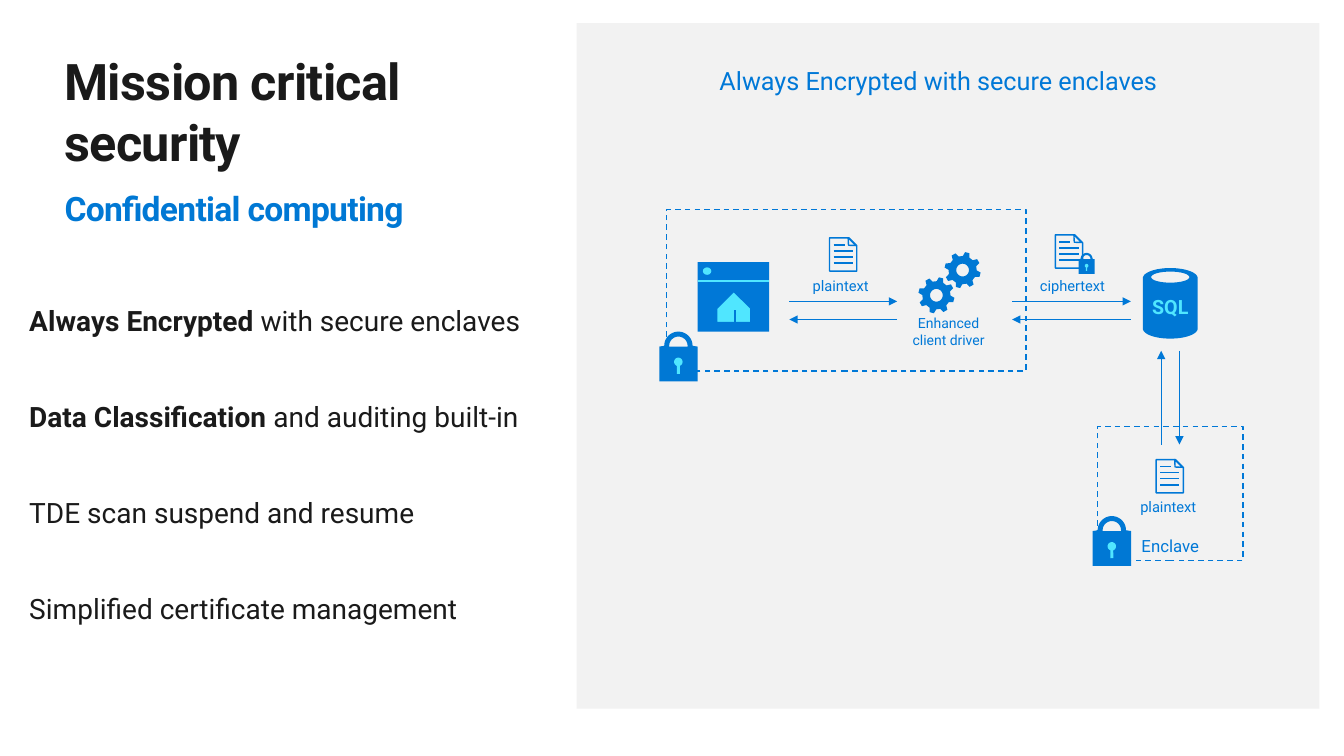
"""Build a slide on mission critical security with an encrypted data flow."""
import dataclasses
import math

import pptx
import pptx.dml.color
import pptx.enum.dml
import pptx.enum.shapes
import pptx.enum.text
import pptx.oxml.ns
import pptx.util
from lxml import etree

CELL = pptx.util.Inches(0.1)
COLS, ROWS = 133.33, 75
KIND = pptx.enum.shapes.MSO_SHAPE
ALIGN = pptx.enum.text.PP_ALIGN
ANCHOR = pptx.enum.text.MSO_ANCHOR
qn = pptx.oxml.ns.qn


@dataclasses.dataclass(frozen=True)
class Theme:
    font: str = "Roboto"
    ink: str = "1A1A1A"
    blue: str = "0078D7"
    deep: str = "0078D4"
    cyan: str = "50E6FF"
    panel: str = "F2F2F2"
    title: float = 36
    sub: float = 24
    list: float = 20
    head: float = 18
    logo: float = 14
    zone: float = 12
    label: float = 10.5
    note: float = 10


LOOK = Theme()


def grid(*cells):
    return [round(cell * CELL) for cell in cells]


def tint(code):
    return pptx.dml.color.RGBColor.from_string(code)


def style(part, size, color, bold=False):
    for run in part.runs:
        run.font.name, run.font.size = LOOK.font, pptx.util.Pt(size)
        run.font.bold, run.font.color.rgb = bold, tint(color)


def frame(shape, anchor, inset=0):
    text = shape.text_frame
    text.word_wrap = True
    text.auto_size = pptx.enum.text.MSO_AUTO_SIZE.NONE
    text.vertical_anchor = anchor
    text.margin_left = text.margin_right = 0
    text.margin_top = text.margin_bottom = grid(inset)[0]
    return text


def paint(shape, fill=None, line=None, dash=False):
    shape.shadow.inherit = False
    if fill:
        shape.fill.solid()
        shape.fill.fore_color.rgb = tint(fill)
    else:
        shape.fill.background()
    if line:
        shape.line.color.rgb = tint(line)
        shape.line.width = pptx.util.Pt(1)
    else:
        shape.line.fill.background()
    if dash:
        shape.line.dash_style = pptx.enum.dml.MSO_LINE.DASH
    return shape


def block(shapes, kind, box, **look):
    return paint(shapes.add_shape(kind, *grid(*box)), **look)


def label(shapes, text, mid, size, width=12, high=4):
    x, y = mid
    box = shapes.add_textbox(*grid(x - width / 2, y - high / 2, width, high))
    part = frame(box, ANCHOR.MIDDLE).paragraphs[0]
    part.text, part.alignment = text, ALIGN.CENTER
    style(part, size, LOOK.blue)


def rule(shapes, start, end, color=LOOK.blue, width=1, arrow=False):
    kind = pptx.enum.shapes.MSO_CONNECTOR.STRAIGHT
    line = shapes.add_connector(kind, *grid(*start, *end))
    line.line.color.rgb = tint(color)
    line.line.width = pptx.util.Pt(width)
    prop = line.element.spPr
    if arrow:
        etree.SubElement(prop.find(qn("a:ln")), qn("a:tailEnd"), type="triangle")
    etree.SubElement(prop, qn("a:effectLst"))


def swap(shapes, start, end, shift):
    back = [tuple(a + b for a, b in zip(point, shift)) for point in (end, start)]
    rule(shapes, start, end, arrow=True)
    rule(shapes, *back, arrow=True)


def arc(x, y, wide, high, start=0, end=360):
    turns = [math.radians(start + (end - start) * step / 32) for step in range(33)]
    return [(x + wide * math.cos(t), y + high * math.sin(t)) for t in turns]


def trace(shapes, *rings, **look):
    first, *rest = [[grid(*point) for point in ring] for ring in rings]
    pen = shapes.build_freeform(*first[0])
    pen.add_line_segments(first[1:], close=True)
    for ring in rest:
        pen.move_to(*ring[0])
        pen.add_line_segments(ring[1:], close=True)
    return paint(pen.convert_to_shape(), **look)


def page(shapes, x, y):
    sheet = block(shapes, KIND.SNIP_1_RECTANGLE, (x, y, 2.7, 3.3), line=LOOK.blue)
    sheet.adjustments[0] = 0.29
    fold = block(shapes, KIND.ISOSCELES_TRIANGLE, (x + 1.5, y + 0.3, 1.1, 0.5),
                 line=LOOK.blue)
    fold.rotation = 225
    for row, length in enumerate((1.1, 1.9, 1.9, 1.9)):
        high = y + 0.7 + row * 0.6
        rule(shapes, (x + 0.4, high), (x + 0.4 + length, high))


def lock(shapes, x, y, size):
    def fit(ring):
        return [(x + size * a, y + size * b) for a, b in ring]
    case = [(0, 1.3), (0, 0.39), *arc(0.5, 0.37, 0.37, 0.37, 180, 360),
            (1, 0.39), (1, 1.3)]
    gap = [(0.26, 0.39), *arc(0.5, 0.37, 0.24, 0.24, 180, 360), (0.74, 0.39)]
    key = [*arc(0.5, 0.79, 0.11, 0.11, 110, 430), (0.54, 1.1), (0.46, 1.1)]
    trace(shapes, fit(case), fit(gap), fill=LOOK.deep)
    trace(shapes, fit(key), fill=LOOK.cyan)


def gear(shapes, x, y):
    rim = []
    for tooth in range(8):
        for turn, reach in ((-14, 1.4), (-7, 1.8), (7, 1.8), (14, 1.4)):
            t = math.radians(15 + tooth * 45 + turn)
            rim.append((x + reach * math.cos(t), y + reach * math.sin(t)))
    trace(shapes, rim, arc(x, y, 0.63, 0.63), fill=LOOK.deep)


def window(shapes, x, y):
    block(shapes, KIND.RECTANGLE, (x, y, 7.1, 6.9), fill=LOOK.blue)
    rule(shapes, (x, y + 1.9), (x + 7.1, y + 1.9), LOOK.cyan, 1.5)
    home = [(1.9, 6), (1.9, 4.6), (3.6, 2.9), (5.3, 4.6), (5.3, 6)]
    trace(shapes, [(x + a, y + b) for a, b in home], fill=LOOK.cyan, line=LOOK.blue)
    rule(shapes, (x + 3.7, y + 4.8), (x + 3.7, y + 6))
    block(shapes, KIND.OVAL, (x + 0.6, y + 0.6, 0.7, 0.6),
          fill=LOOK.cyan, line=LOOK.cyan)


def store(shapes, x, y):
    can = arc(x, y, 2.72, 1, 180, 360) + arc(x, y + 5, 2.72, 1, 0, 180)
    shape = trace(shapes, can, arc(x, y - 0.1, 1.9, 0.55), fill=LOOK.deep)
    text = frame(shape, ANCHOR.MIDDLE)
    text.margin_top = grid(0.6)[0]
    part = text.paragraphs[0]
    part.text, part.alignment = "SQL", ALIGN.CENTER
    style(part, LOOK.logo, LOOK.cyan, True)


def place(shape, box):
    shape.left, shape.top, shape.width, shape.height = grid(*box)
    return frame(shape, ANCHOR.TOP)


def title(shape):
    text = place(shape, (6.4, 5, 48.3, 18.2))
    text.text = "Mission critical security\nConfidential computing"
    looks = ((LOOK.title, LOOK.ink, 0), (LOOK.sub, LOOK.deep, 12))
    for part, (size, color, gap) in zip(text.paragraphs, looks):
        part.alignment, part.space_before = ALIGN.LEFT, pptx.util.Pt(gap)
        style(part, size, color, True)
        part.runs[0].font._element.set("spc", "-50")


def points(shape, items):
    text = place(shape, (2.9, 30.1, 52.4, 32))
    text.text = "\n".join(lead for lead, _ in items)
    for part, (lead, rest) in zip(text.paragraphs, items):
        if rest:
            part.add_run().text = rest
        part.space_before, part.space_after = pptx.util.Pt(0), pptx.util.Pt(44.5)
        style(part, LOOK.list, LOOK.ink)
        part.runs[0].font.bold = bool(rest)
        prop = part._element.get_or_add_pPr()
        prop.set("marL", "0")
        prop.set("indent", "0")
        etree.SubElement(prop, qn("a:buNone"))


def flow(shapes):
    label(shapes, "Always Encrypted with secure enclaves", (93.1, 8), LOOK.head, 60)
    block(shapes, KIND.RECTANGLE, (66.1, 20.8, 35.7, 16), line=LOOK.blue, dash=True)
    zone = block(shapes, KIND.RECTANGLE, (108.9, 42.3, 14.4, 13.3),
                 line=LOOK.blue, dash=True)
    part = frame(zone, ANCHOR.BOTTOM, 0.5).paragraphs[0]
    part.text, part.alignment = "Enclave", ALIGN.CENTER
    style(part, LOOK.zone, LOOK.blue)
    swap(shapes, (78.3, 29.9), (89, 29.9), (0, 1.8))
    swap(shapes, (100.4, 29.9), (112.2, 29.9), (0, 1.8))
    swap(shapes, (115.2, 44.1), (115.2, 34.8), (1.8, 0))
    for text, mid in (("plaintext", (83.4, 28.3)), ("ciphertext", (106.4, 28.3)),
                      ("plaintext", (115.9, 50.3))):
        label(shapes, text, mid, LOOK.label)
    label(shapes, "Enhanced client driver", (94.1, 32.9), LOOK.note, 8.7)
    for spot in ((82.3, 23.6), (104.7, 23.3), (114.7, 45.6)):
        page(shapes, *spot)
    for spot in ((95.5, 26.8), (92.9, 29.3)):
        gear(shapes, *spot)
    window(shapes, 69.2, 26)
    store(shapes, 116.1, 27.6)
    for spot in ((65.4, 32.9, 3.8), (108.4, 51.2, 3.8), (107, 25.1, 1.6)):
        lock(shapes, *spot)


def main():
    deck = pptx.Presentation()
    deck.slide_width, deck.slide_height = grid(COLS, ROWS)
    shapes = deck.slides.add_slide(deck.slide_layouts[1]).shapes
    title(shapes.title)
    points(shapes.placeholders[1], (
        ("Always Encrypted ", "with secure enclaves"),
        ("Data Classification ", "and auditing built-in"),
        ("TDE scan suspend and resume", ""),
        ("Simplified certificate management", "")))
    block(shapes, KIND.RECTANGLE, (57.2, 2.3, 73.7, 68), fill=LOOK.panel)
    flow(shapes)
    deck.save("out.pptx")


if __name__ == "__main__":
    main()
